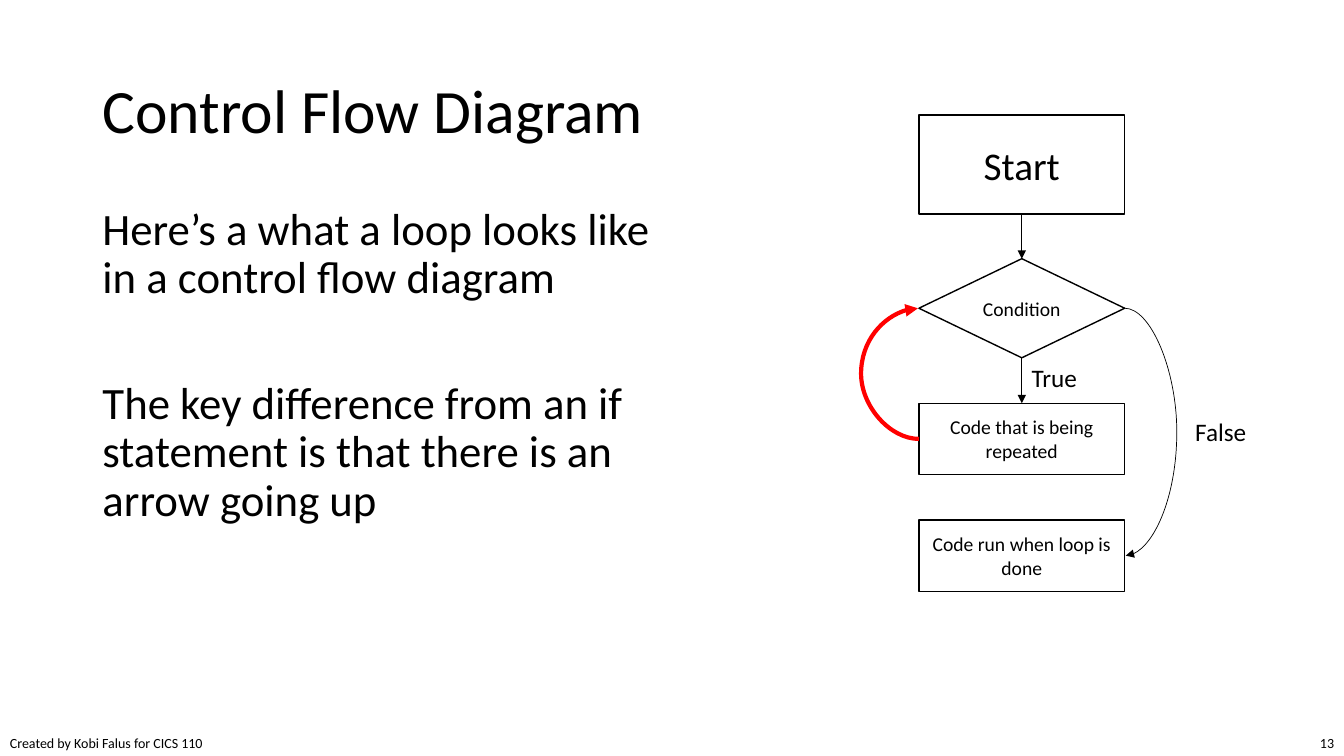
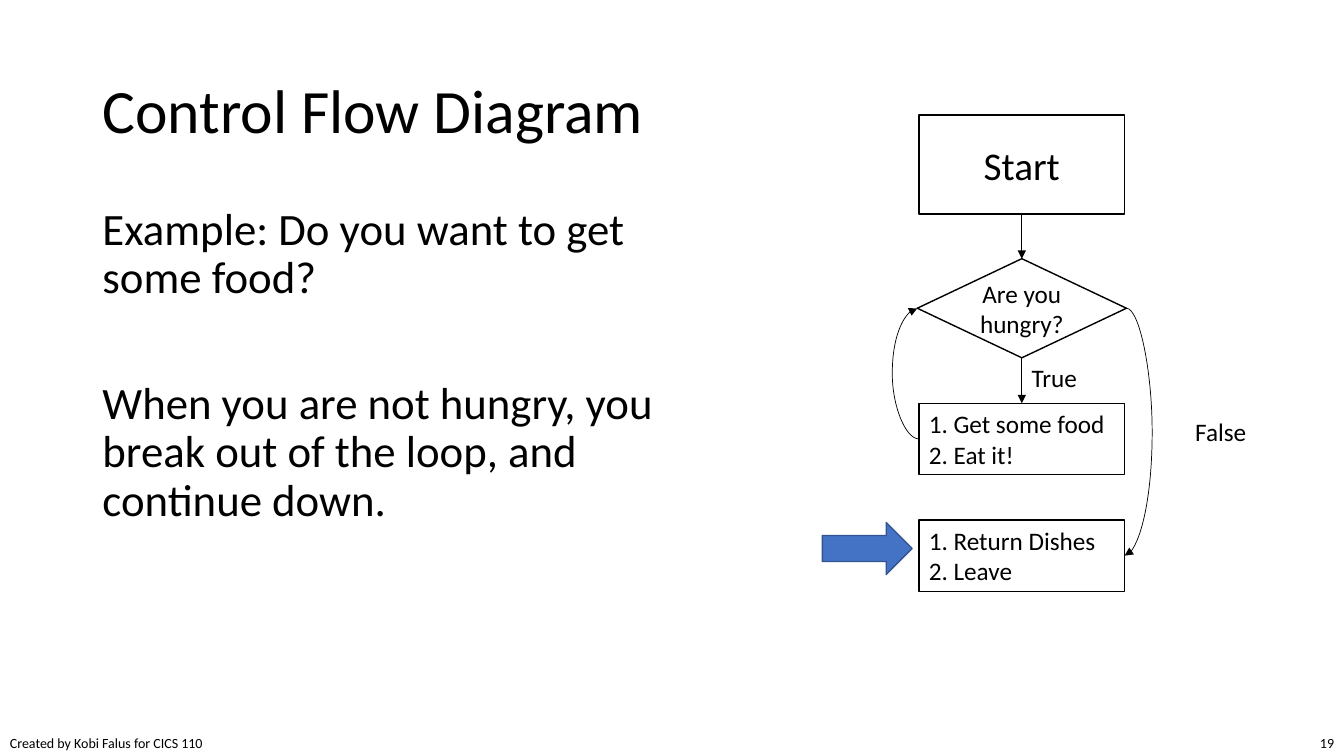
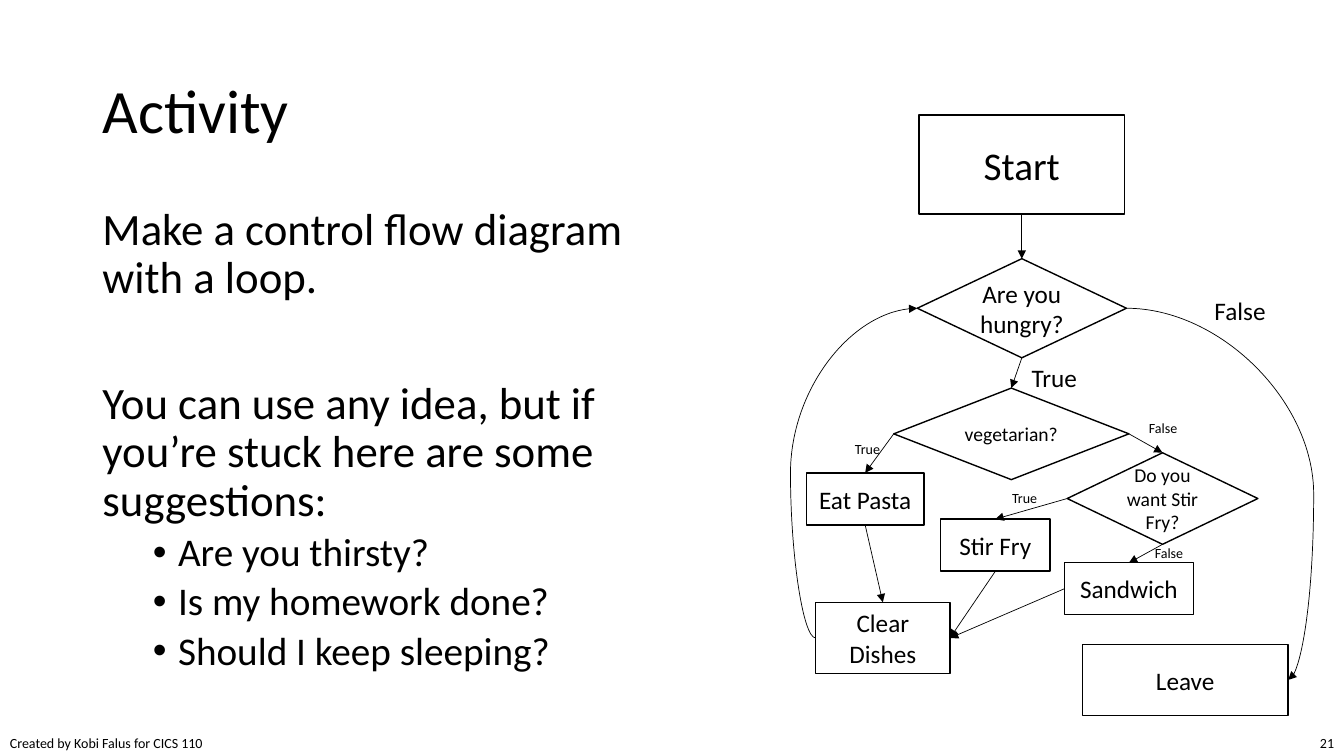
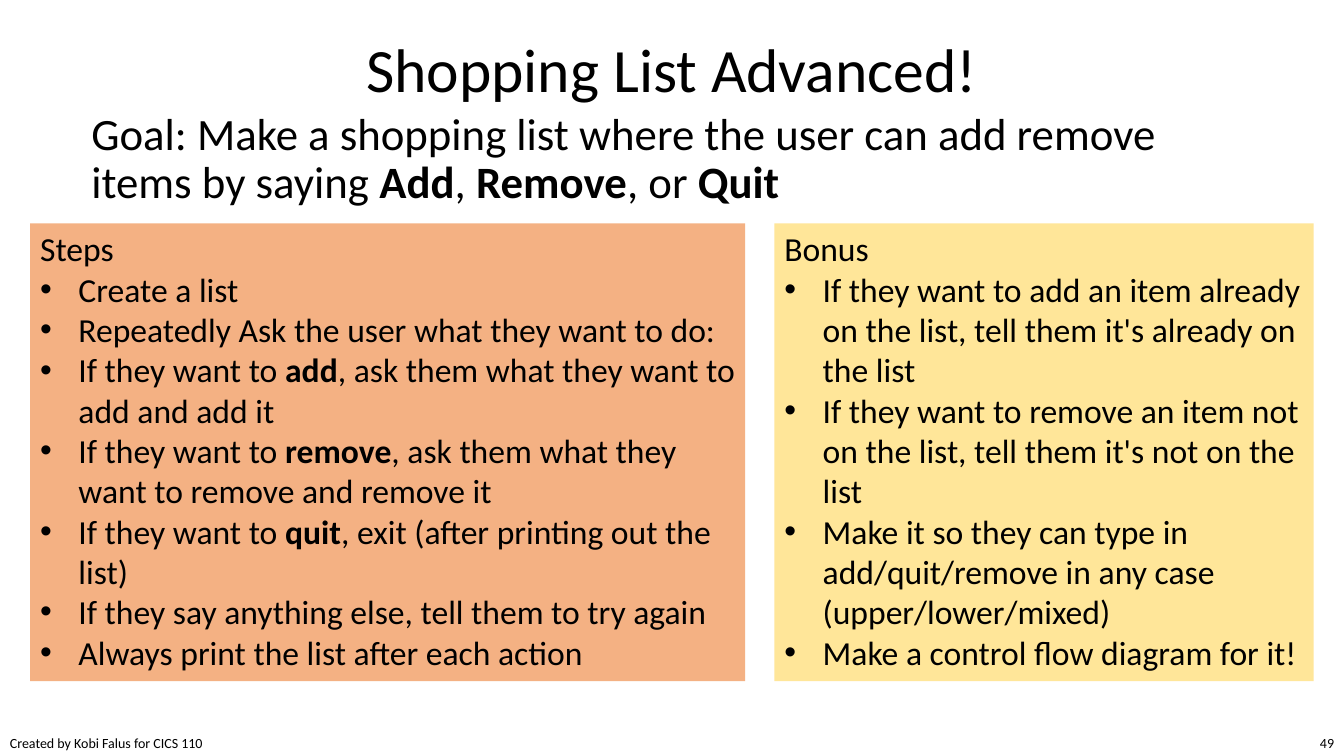
from dataclasses import dataclass

from lxml.etree import SubElement
from pptx import Presentation
from pptx.dml.color import RGBColor
from pptx.enum.shapes import MSO_CONNECTOR as Link, MSO_SHAPE as Preset
from pptx.enum.text import MSO_ANCHOR as Anchor, MSO_AUTO_SIZE as AutoSize, PP_ALIGN as Align
from pptx.oxml.ns import qn
from pptx.util import Emu, Inches, Pt


@dataclass(frozen=True)
class Theme:
    """Grid, colours and type sizes of the deck."""
    cell: int = Pt(6)
    columns: int = 160
    rows: int = 90
    font: str = "Calibri"
    ink: str = "000000"
    paper: str = "FFFFFF"
    loop: str = "FF0000"
    pointer: str = "4472C4"
    pointer_edge: str = "325491"
    steps: str = "F4B183"
    bonus: str = "FFE699"
    title: int = 44
    body: int = 32
    sub: int = 28
    panel: int = 24
    node: int = 18
    detail: int = 14
    small: int = 10
    leading: float = 0.9
    gap: int = 10
    wide_gap: int = 55


THEME = Theme()
TOP, LEFT, BOTTOM, RIGHT = range(4)
AXIS = 121.65
NODE_WIDTH = 24.5
START_HEIGHT = 11.8
STEP_HEIGHT = 8.5
CHOICE_HEIGHT = 10.9
DISH_HEIGHT = 6.2
TITLE_BOX = (11, 4.8, 138, 17.4)
BODY_BOX = (11, 24, 72.5, 57.1)


def cells(count):
    """Turn a number of grid cells into a length."""
    return Emu(round(count * THEME.cell))


def place(shape, box):
    """Move a shape to a box given in grid cells."""
    shape.left, shape.top, shape.width, shape.height = map(cells, box)


def colour(code):
    """Make a colour from its hex code."""
    return RGBColor.from_string(code)


def write(paragraph, text, size, align=Align.LEFT, leading=1.0, before=0):
    """Fill a paragraph with runs; text between asterisks is bold."""
    paragraph.alignment = align
    paragraph.line_spacing = leading
    paragraph.space_before = Pt(before)
    for index, part in enumerate(text.split("*")):
        if part:
            run = paragraph.add_run()
            run.text = part
            run.font.name = THEME.font
            run.font.size = Pt(size)
            run.font.bold = index % 2 == 1
            run.font.color.rgb = colour(THEME.ink)


def indent(paragraph, margin=0.0, hang=0.0, bullet=None):
    """Set the indent of a paragraph and its bullet, or none."""
    properties = paragraph._p.get_or_add_pPr()
    properties.set("marL", str(Inches(margin)))
    properties.set("indent", str(Inches(-hang)))
    if bullet:
        SubElement(properties, qn("a:buFont"), typeface="Arial")
        SubElement(properties, qn("a:buChar"), char=bullet)
    else:
        SubElement(properties, qn("a:buNone"))


def paragraphs(frame, count):
    """Return the given number of paragraphs of a fresh frame."""
    return [frame.paragraphs[0]] + [frame.add_paragraph() for _ in range(count - 1)]


def prepare(frame, anchor=Anchor.TOP, wrap=True):
    """Set wrapping and anchoring of a text frame."""
    frame.word_wrap = wrap
    frame.auto_size = AutoSize.NONE
    frame.vertical_anchor = anchor
    return frame


def add_text(slide, box, text, size, align=Align.LEFT, wrap=False, leading=1.0):
    """Add a one-paragraph text box."""
    shape = slide.shapes.add_textbox(*map(cells, box))
    frame = prepare(shape.text_frame, wrap=wrap)
    write(frame.paragraphs[0], text, size, align, leading)


def add_preset(slide, preset, box, fill, line=None):
    """Add a flat preset shape."""
    shape = slide.shapes.add_shape(preset, *map(cells, box))
    shape.shadow.inherit = False
    shape.fill.solid()
    shape.fill.fore_color.rgb = colour(fill)
    if line:
        shape.line.color.rgb = colour(line)
        shape.line.width = Pt(1)
    else:
        shape.line.fill.background()
    return shape


def add_node(slide, preset, centre, top, width, height, lines, size, align=Align.CENTER):
    """Add a flow chart node centred on a column."""
    box = (centre - width / 2, top, width, height)
    shape = add_preset(slide, preset, box, THEME.paper, THEME.ink)
    frame = prepare(shape.text_frame, Anchor.MIDDLE)
    for paragraph, line in zip(paragraphs(frame, len(lines)), lines):
        write(paragraph, line, size, align)
    return shape


def add_box(slide, centre, top, width, height, *lines, size=THEME.node, align=Align.CENTER):
    """Add a rectangular node."""
    return add_node(slide, Preset.RECTANGLE, centre, top, width, height, lines, size, align)


def add_choice(slide, centre, top, width, height, text, size=THEME.node):
    """Add a decision node."""
    return add_node(slide, Preset.FLOWCHART_DECISION, centre, top, width, height, [text], size)


def glue(slide, kind, source, source_site, target, target_site, line=THEME.ink, weight=0.5):
    """Join two nodes with an arrow."""
    connector = slide.shapes.add_connector(kind, 0, 0, 0, 0)
    connector.begin_connect(source, source_site)
    connector.end_connect(target, target_site)
    connector.line.color.rgb = colour(line)
    connector.line.width = Pt(weight)
    properties = connector._element.spPr
    SubElement(properties.find(qn("a:ln")), qn("a:tailEnd"), type="triangle")
    SubElement(properties, qn("a:effectLst"))
    return connector


def add_arrow(slide, source, source_site, target, target_site):
    """Join two nodes with a straight arrow."""
    glue(slide, Link.STRAIGHT, source, source_site, target, target_site)


def add_curve(slide, source, target, site, bulge, **style):
    """Join the same side of two nodes with an arrow curving out to a column."""
    connector = glue(slide, Link.CURVE, source, site, target, site, **style)
    reach = cells(bulge) - connector.begin_x
    if abs(connector.end_x - connector.begin_x) < Inches(0.01):
        connector.end_x = connector.begin_x + Inches(0.01 if reach > 0 else -0.01)
    ratio = reach / (connector.end_x - connector.begin_x)
    properties = connector._element.spPr
    adjustments = properties.find(qn("a:prstGeom")).find(qn("a:avLst"))
    SubElement(adjustments, qn("a:gd"), name="adj1", fmla=f"val {round(ratio * 100000)}")
    transform = properties.find(qn("a:xfrm"))
    if transform.get("flipV") == "1":
        flipped = transform.get("flipH") == "1"
        transform.set("rot", "10800000")
        transform.set("flipH", "0" if flipped else "1")
        transform.set("flipV", "0")


def add_slide(presentation, layout, title, number, box=TITLE_BOX, align=Align.LEFT):
    """Add a slide with its title, credit line and number."""
    slide = presentation.slides.add_slide(presentation.slide_layouts[layout])
    heading = slide.shapes.title
    place(heading, box)
    frame = prepare(heading.text_frame, Anchor.MIDDLE)
    write(frame.paragraphs[0], title, THEME.title, align, THEME.leading)
    add_text(slide, (0, 86.8, 25.8, 3.2), "Created by Kobi Falus for CICS 110", THEME.small)
    add_text(slide, (153.4, 86.8, 6.6, 3.2), number, THEME.small, Align.RIGHT)
    return slide


def add_flow_slide(presentation, title, number, statements, bullets=()):
    """Add a slide with text at the left and a start node at the right."""
    slide = add_slide(presentation, 1, title, number)
    body = slide.placeholders[1]
    place(body, BODY_BOX)
    lines = paragraphs(prepare(body.text_frame), len(statements) + len(bullets))
    for index, (paragraph, text) in enumerate(zip(lines, statements)):
        indent(paragraph)
        before = THEME.wide_gap if index else 0
        write(paragraph, text, THEME.body, leading=THEME.leading, before=before)
    for paragraph, text in zip(lines[len(statements):], bullets):
        paragraph.level = 1
        indent(paragraph, 0.75, 0.25, "•")
        write(paragraph, text, THEME.sub, leading=THEME.leading, before=THEME.gap / 2)
    start = add_box(slide, AXIS, 13.7, NODE_WIDTH, START_HEIGHT, "Start", size=THEME.sub)
    return slide, start


def add_condition(slide, start, text, width=NODE_WIDTH, size=THEME.node):
    """Add the loop condition below the start node."""
    condition = add_choice(slide, AXIS, 30.8, width, START_HEIGHT, text, size)
    add_arrow(slide, start, BOTTOM, condition, TOP)
    add_text(slide, (AXIS, 42.6, 7.9, 4.8), "True", THEME.node)
    return condition


def add_loop(slide, condition, repeated, done, bulges, back_style, **style):
    """Add the repeated step, the final step and their arrows."""
    step, final = (
        add_box(slide, AXIS, top, NODE_WIDTH, STEP_HEIGHT, *lines, **style)
        for top, lines in ((48, repeated), (61.9, done))
    )
    add_arrow(slide, condition, BOTTOM, step, TOP)
    add_curve(slide, condition, final, RIGHT, bulges[1])
    add_curve(slide, step, condition, LEFT, bulges[0], **back_style)
    add_text(slide, (141.1, 49, 8.5, 4.8), "False", THEME.node)


def add_panel(slide, left, width, fill, heading, items):
    """Add a filled panel with a heading and a bullet list."""
    shape = add_preset(slide, Preset.RECTANGLE, (left, 26.6, width, 54.5), fill)
    lines = paragraphs(prepare(shape.text_frame), len(items) + 1)
    write(lines[0], heading, THEME.panel)
    for paragraph, item in zip(lines[1:], items):
        indent(paragraph, 0.38, 0.38, "•")
        write(paragraph, item, THEME.panel)


def add_loop_diagram(presentation):
    """Add the slide on the general shape of a loop."""
    slide, start = add_flow_slide(presentation, "Control Flow Diagram", "13", (
        "Here’s a what a loop looks like in a control flow diagram",
        "The key difference from an if statement is that there is an arrow going up",
    ))
    condition = add_condition(slide, start, "Condition", size=THEME.detail)
    add_loop(
        slide, condition, ["Code that is being repeated"], ["Code run when loop is done"],
        (102.4, 140.2), {"line": THEME.loop, "weight": 3}, size=THEME.detail,
    )


def add_food_example(presentation):
    """Add the slide with the food example."""
    slide, start = add_flow_slide(presentation, "Control Flow Diagram", "19", (
        "Example: Do you want to get some food?",
        "When you are not hungry, you break out of the loop, and continue down.",
    ))
    condition = add_condition(slide, start, "Are you hungry?", 24.9)
    add_loop(
        slide, condition, ["1. Get some food", "2. Eat it!"], ["1. Return Dishes", "2. Leave"],
        (106.2, 137.2), {}, align=Align.LEFT,
    )
    add_preset(slide, Preset.RIGHT_ARROW, (97.9, 62.2, 10.7, 6.2), THEME.pointer, THEME.pointer_edge)


def add_activity(presentation):
    """Add the activity slide with nested decisions."""
    slide, start = add_flow_slide(presentation, "Activity", "21", (
        "Make a control flow diagram with a loop.",
        "You can use any idea, but if you’re stuck here are some suggestions:",
    ), ("Are you thirsty?", "Is my homework done?", "Should I keep sleeping?"))
    hungry = add_condition(slide, start, "Are you hungry?", 24.9)
    vegetarian = add_choice(slide, 120.4, 46.2, 28, CHOICE_HEIGHT, "vegetarian?", THEME.detail)
    fry_choice = add_choice(
        slide, 138.4, 53.9, 22.7, CHOICE_HEIGHT, "Do you want Stir Fry?", THEME.detail)
    pasta, sandwich, stir_fry = (
        add_box(slide, centre, top, width, DISH_HEIGHT, text)
        for centre, top, width, text in (
            (103, 56.3, 14, "Eat Pasta"),
            (134.4, 67, 15.4, "Sandwich"),
            (118.5, 61.8, 13, "Stir Fry"),
        )
    )
    clear = add_box(slide, 105.1, 71.7, 16, STEP_HEIGHT, "Clear Dishes")
    leave = add_box(slide, 141.1, 76.7, NODE_WIDTH, STEP_HEIGHT, "Leave")
    for source, source_site, target, target_site in (
        (hungry, BOTTOM, vegetarian, TOP),
        (vegetarian, RIGHT, fry_choice, TOP),
        (vegetarian, LEFT, pasta, TOP),
        (fry_choice, LEFT, stir_fry, TOP),
        (fry_choice, BOTTOM, sandwich, TOP),
        (pasta, BOTTOM, clear, TOP),
        (stir_fry, BOTTOM, clear, RIGHT),
        (sandwich, LEFT, clear, RIGHT),
    ):
        add_arrow(slide, source, source_site, target, target_site)
    add_curve(slide, hungry, leave, RIGHT, 156.4)
    add_curve(slide, clear, hungry, LEFT, 94.1)
    add_text(slide, (143.4, 34.6, 8.5, 4.8), "False", THEME.node)
    for left, top, text in (
        (136.3, 64.2, "False"), (135.6, 49.3, "False"),
        (100.6, 51.8, "True"), (119.3, 57.7, "True"),
    ):
        add_text(slide, (left, top, 6.8, 3.2), text, THEME.small)


def add_shopping_list(presentation):
    """Add the slide with the shopping list task."""
    slide = add_slide(
        presentation, 5, "Shopping List Advanced!", "49",
        (0, 0, THEME.columns, 17.2), Align.CENTER,
    )
    add_text(
        slide, (9.7, 12.7, 140.6, 13.9),
        "Goal: Make a shopping list where the user can add remove items by saying "
        "*Add*, *Remove*, or *Quit*",
        THEME.body, wrap=True, leading=THEME.leading,
    )
    add_panel(slide, 3.6, 85.1, THEME.steps, "Steps", (
        "Create a list",
        "Repeatedly Ask the user what they want to do:",
        "If they want to *add*, ask them what they want to add and add it",
        "If they want to *remove*, ask them what they want to remove and remove it",
        "If they want to *quit*, exit (after printing out the list)",
        "If they say anything else, tell them to try again",
        "Always print the list after each action",
    ))
    add_panel(slide, 92.2, 64.2, THEME.bonus, "Bonus", (
        "If they want to add an item already on the list, tell them it's already on the list",
        "If they want to remove an item not on the list, tell them it's not on the list",
        "Make it so they can type in add/quit/remove in any case (upper/lower/mixed)",
        "Make a control flow diagram for it!",
    ))


def main():
    """Build and save the presentation."""
    presentation = Presentation()
    presentation.slide_width = cells(THEME.columns)
    presentation.slide_height = cells(THEME.rows)
    add_loop_diagram(presentation)
    add_food_example(presentation)
    add_activity(presentation)
    add_shopping_list(presentation)
    presentation.save("out.pptx")


if __name__ == "__main__":
    main()
